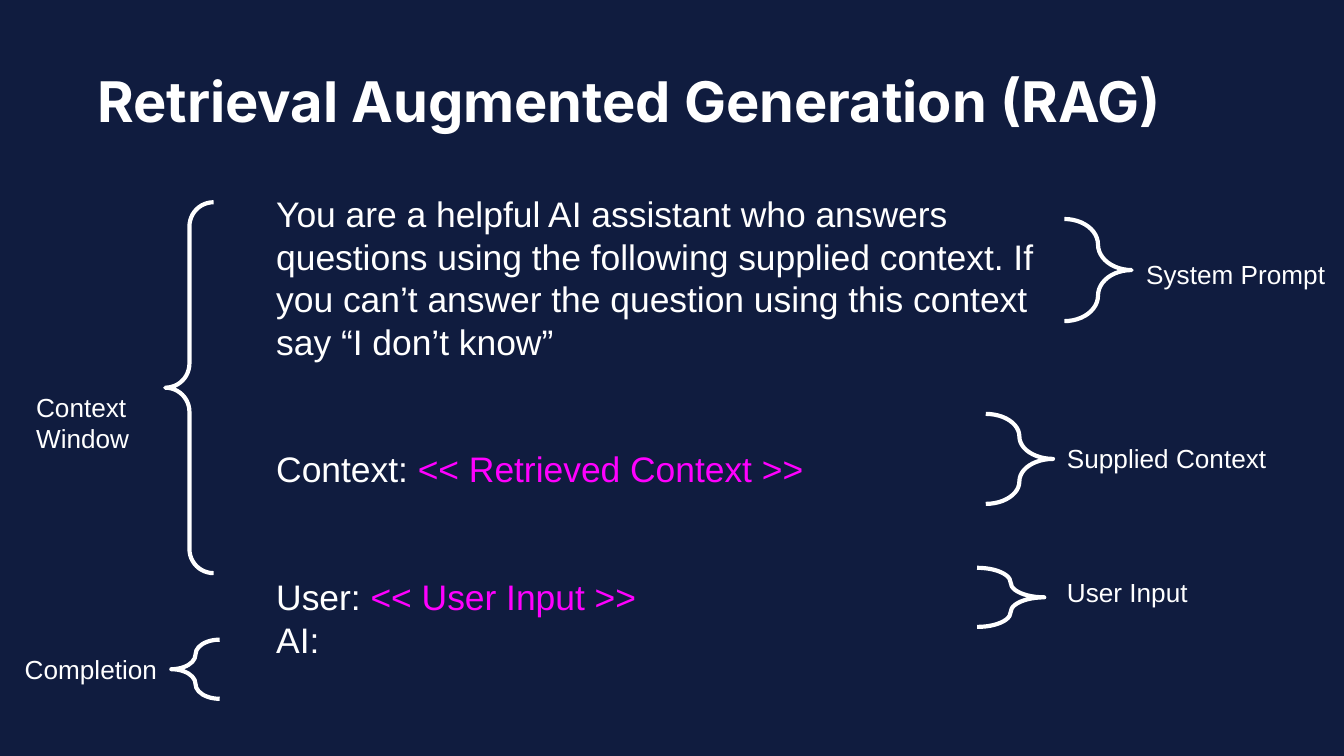
"""Build a slide that explains the parts of a retrieval augmented prompt."""

from dataclasses import dataclass

from lxml.etree import SubElement
from pptx import Presentation
from pptx.dml.color import RGBColor
from pptx.enum.shapes import MSO_SHAPE
from pptx.enum.text import MSO_ANCHOR, MSO_AUTO_SIZE, PP_ALIGN
from pptx.oxml.ns import qn
from pptx.util import Inches, Pt

NAVY = RGBColor(0x10, 0x1C, 0x3F)
WHITE = RGBColor(0xFF, 0xFF, 0xFF)
MAGENTA = RGBColor(0xFF, 0x00, 0xFF)

CELL = Inches(0.1)
COLUMNS = 100
ROWS = COLUMNS * 9 / 16
LINE_RATIO = 1.2
BODY_SIZE, LABEL_SIZE = 19, 14


@dataclass(frozen=True)
class Area:
    column: float
    row: float
    columns: float
    rows: float

    def lengths(self) -> tuple[int, ...]:
        return tuple(round(cells * CELL) for cells in
                     (self.column, self.row, self.columns, self.rows))


@dataclass(frozen=True)
class Part:
    lines: tuple[str, ...]
    label: Area
    brace: Area
    brace_kind: MSO_SHAPE


@dataclass(frozen=True)
class PromptLine:
    text: str
    variable: str = ""
    blank_lines: int = 0


TITLE_AREA = Area(6.25, 3.95, 88, 8.9)
PROMPT_AREA = Area(19.55, 13.3, 59.4, 37.2)

PROMPT = (
    PromptLine("You are a helpful AI assistant who answers questions using the "
               "following supplied context. If you can’t answer the question "
               "using this context say “I don’t know”"),
    PromptLine("Context: ", "<< Retrieved Context >>", blank_lines=2),
    PromptLine("User: ", "<< User Input >>", blank_lines=2),
    PromptLine("AI:"),
)

PARTS = (
    Part(("System Prompt",), Area(84.3, 18.2, 21.8, 4.4),
         Area(79.2, 16.3, 5, 7.6), MSO_SHAPE.RIGHT_BRACE),
    Part(("Supplied Context",), Area(78.4, 31.9, 21.8, 4.4),
         Area(73.35, 30.8, 5, 6.7), MSO_SHAPE.RIGHT_BRACE),
    Part(("User Input",), Area(78.4, 41.9, 21.8, 4.4),
         Area(72.7, 42.25, 5, 4.4), MSO_SHAPE.RIGHT_BRACE),
    Part(("Context", "Window"), Area(1.7, 28.1, 21.8, 6.7),
         Area(12.3, 15.05, 3.6, 27.6), MSO_SHAPE.LEFT_BRACE),
    Part(("Completion",), Area(0.85, 47.65, 21.8, 4.4),
         Area(12.75, 47.6, 3.6, 4.4), MSO_SHAPE.LEFT_BRACE),
)


def place(shape, area: Area) -> None:
    shape.left, shape.top, shape.width, shape.height = area.lengths()


def prepare_frame(shape):
    frame = shape.text_frame
    frame.word_wrap = True
    frame.auto_size = MSO_AUTO_SIZE.NONE
    frame.vertical_anchor = MSO_ANCHOR.TOP
    frame.margin_left = frame.margin_right = CELL
    frame.margin_top = frame.margin_bottom = CELL
    return frame


def next_paragraph(frame, index: int):
    paragraph = frame.add_paragraph() if index else frame.paragraphs[0]
    paragraph.alignment = PP_ALIGN.LEFT
    paragraph.space_before = paragraph.space_after = Pt(0)
    return paragraph


def add_run(paragraph, text: str, size: float, color: RGBColor = WHITE,
            font_name: str = "Arial", bold: bool = False) -> None:
    run = paragraph.add_run()
    run.text = text
    run.font.name = font_name
    run.font.size = Pt(size)
    run.font.bold = bold
    run.font.color.rgb = color


def fill_title(title) -> None:
    place(title, TITLE_AREA)
    paragraph = next_paragraph(prepare_frame(title), 0)
    add_run(paragraph, "Retrieval Augmented Generation (RAG)", 30,
            font_name="Inter", bold=True)


def fill_prompt(body) -> None:
    place(body, PROMPT_AREA)
    frame = prepare_frame(body)
    line_height = BODY_SIZE * LINE_RATIO
    for index, line in enumerate(PROMPT):
        paragraph = next_paragraph(frame, index)
        paragraph.line_spacing = Pt(line_height)
        paragraph.space_before = Pt(line.blank_lines * line_height)
        properties = paragraph._p.get_or_add_pPr()
        properties.set("marL", "0")
        properties.set("indent", "0")
        SubElement(properties, qn("a:buNone"))
        add_run(paragraph, line.text, BODY_SIZE)
        if line.variable:
            add_run(paragraph, line.variable, BODY_SIZE, MAGENTA)


def draw_part(slide, part: Part) -> None:
    brace = slide.shapes.add_shape(part.brace_kind, *part.brace.lengths())
    brace.adjustments[0] = brace.adjustments[1] = 0.5
    brace.shadow.inherit = False
    brace.fill.background()
    brace.line.color.rgb = WHITE
    brace.line.width = Pt(2.25)

    frame = prepare_frame(slide.shapes.add_textbox(*part.label.lengths()))
    for index, line in enumerate(part.lines):
        paragraph = next_paragraph(frame, index)
        paragraph.line_spacing = Pt(LABEL_SIZE * LINE_RATIO)
        add_run(paragraph, line, LABEL_SIZE)


def main() -> None:
    presentation = Presentation()
    presentation.slide_width = COLUMNS * CELL
    presentation.slide_height = round(ROWS * CELL)
    slide = presentation.slides.add_slide(presentation.slide_layouts[1])
    slide.background.fill.solid()
    slide.background.fill.fore_color.rgb = NAVY
    fill_title(slide.shapes.title)
    fill_prompt(slide.placeholders[1])
    for part in PARTS:
        draw_part(slide, part)
    presentation.save("out.pptx")


if __name__ == "__main__":
    main()
